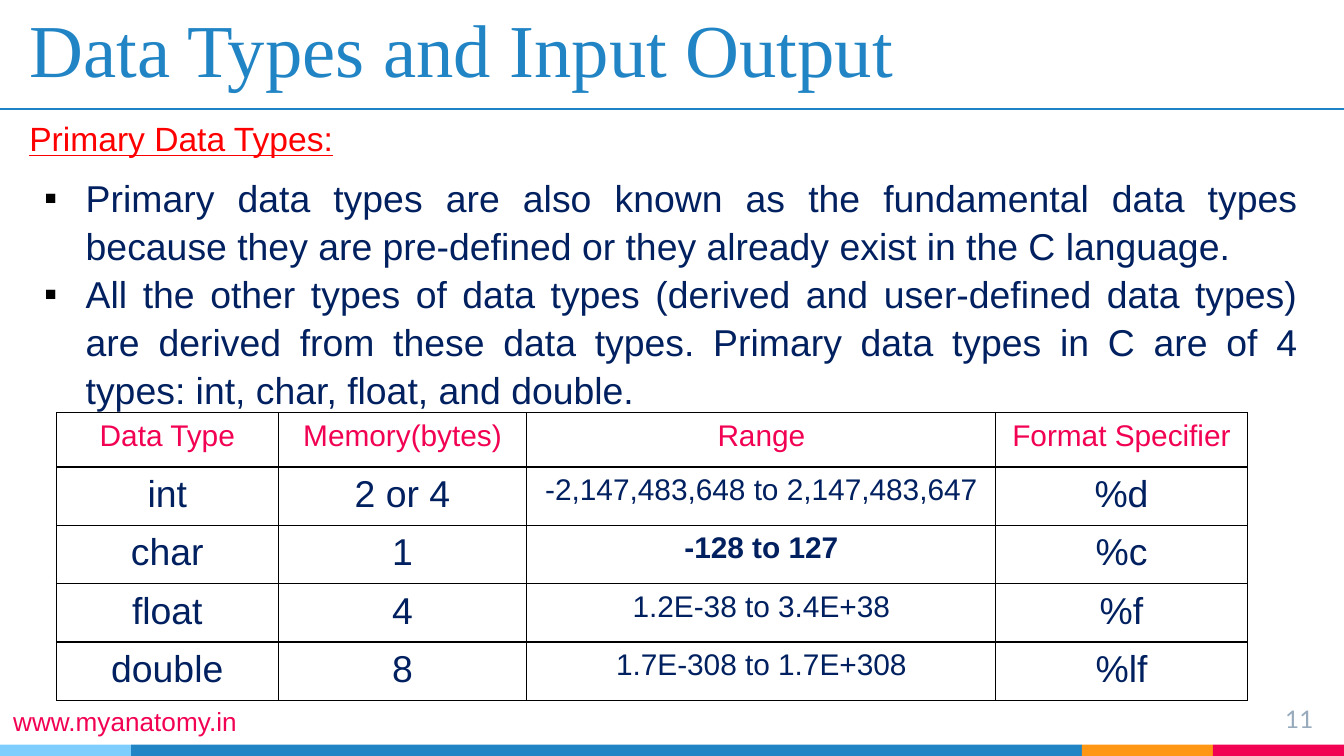
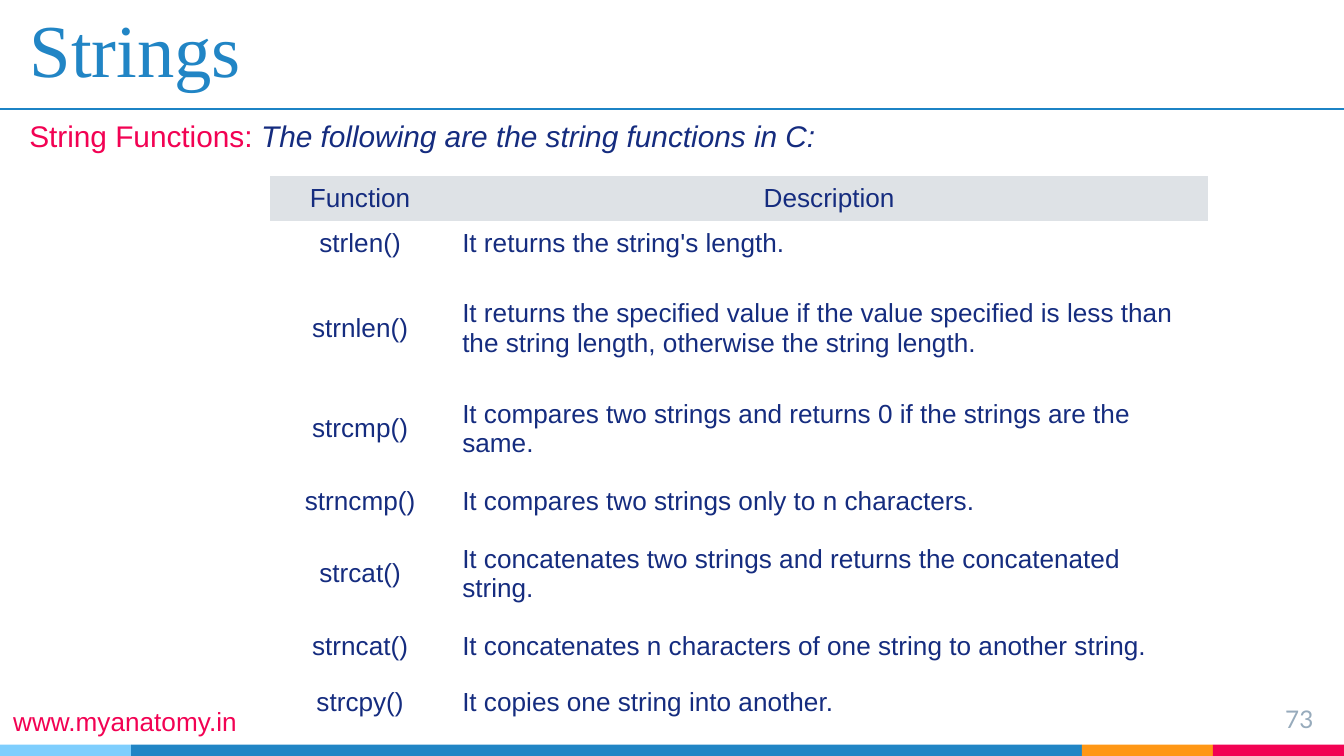
import itertools

import pptx
import pptx.dml.color
import pptx.enum.shapes
import pptx.enum.text
import pptx.oxml
import pptx.oxml.ns
import pptx.util

COLUMNS, ROWS = 100, 56.25
BLUE, PINK, ORANGE, SKY = "2185C5", "F20253", "FF9715", "7ECEFD"
RULE_BLUE, NAVY, INDIGO = "1C83C5", "002060", "152C7F"
RED, BLACK, GRAY, HEADER_GRAY = "FF0000", "000000", "97ABBC", "DEE2E6"
BODY_FONT, TITLE_FONT, NUMBER_FONT = "Arial", "Times New Roman", "Lato"
BANDS = [(SKY, 9.75), (BLUE, 70.75), (ORANGE, 9.75), (PINK, 9.75)]
BAND_TOP = 55.4
PLAIN_TABLE = "{2D5ABB26-0587-4C30-8999-92F81FD0307C}"
ALIGN = pptx.enum.text.PP_ALIGN
ANCHOR = pptx.enum.text.MSO_ANCHOR
AUTO_SIZE = pptx.enum.text.MSO_AUTO_SIZE

PRIMARY_POINTS = [
    "Primary data types are also known as the fundamental data types because "
    "they are pre-defined or they already exist in the C language.",
    "All the other types of data types (derived and user-defined data types) are "
    "derived from these data types. Primary data types in C are of 4 types: "
    "int, char, float, and double.",
]
PRIMARY_TYPES = [
    ("Data Type", "Memory(bytes)", "Range", "Format Specifier"),
    ("int", "2 or 4", "-2,147,483,648 to 2,147,483,647", "%d"),
    ("char", "1", "-128 to 127", "%c"),
    ("float", "4", "1.2E-38 to 3.4E+38", "%f"),
    ("double", "8", "1.7E-308 to 1.7E+308", "%lf"),
]
STRING_FUNCTIONS = [
    ("Function", "Description"),
    ("strlen()", "It returns the string's length."),
    ("strnlen()", "It returns the specified value if the value specified is less "
                  "than the string length, otherwise the string length."),
    ("strcmp()", "It compares two strings and returns 0 if the strings are the same."),
    ("strncmp()", "It compares two strings only to n characters."),
    ("strcat()", "It concatenates two strings and returns the concatenated string."),
    ("strncat()", "It concatenates n characters of one string to another string."),
    ("strcpy()", "It copies one string into another."),
]


def grid(*counts):
    """Turn counts of grid cells, a tenth of an inch each, into lengths."""
    return [pptx.util.Inches(count / 10) for count in counts]


def color(code):
    """Turn a hex string into a colour."""
    return pptx.dml.color.RGBColor.from_string(code)


def add_span(para, text, size, code, font=BODY_FONT, bold=False, italic=False,
             underline=False):
    """Add one formatted run to a paragraph."""
    span = para.add_run()
    span.text = text
    span.font.name = font
    span.font.size = pptx.util.Pt(size)
    span.font.color.rgb = color(code)
    span.font.bold = bold
    span.font.italic = italic
    span.font.underline = underline


def set_insets(frame, inset):
    """Give all four sides of a text frame the same inset."""
    (length,) = grid(inset)
    frame.margin_left = frame.margin_right = length
    frame.margin_top = frame.margin_bottom = length


def add_text_box(page, place, wrap=False):
    """Add an empty text box and return its text frame."""
    frame = page.shapes.add_textbox(*grid(*place)).text_frame
    frame.word_wrap = wrap
    frame.auto_size = AUTO_SIZE.NONE if wrap else AUTO_SIZE.SHAPE_TO_FIT_TEXT
    return frame


def add_label(page, place, spans):
    """Add a single-line label made of formatted runs."""
    para = add_text_box(page, place).paragraphs[0]
    for text, size, code, style in spans:
        add_span(para, text, size, code, **style)


def add_bands(page):
    """Draw the row of coloured bands along the bottom edge."""
    starts = itertools.accumulate((width for _, width in BANDS), initial=0)
    for (code, width), left in zip(BANDS, starts):
        band = page.shapes.add_shape(
            pptx.enum.shapes.MSO_SHAPE.RECTANGLE,
            *grid(left, BAND_TOP, width, ROWS - BAND_TOP))
        band.shadow.inherit = False
        band.fill.solid()
        band.fill.fore_color.rgb = color(code)
        band.line.fill.background()


def add_title(page, text):
    """Place and format the title placeholder."""
    title = page.shapes.title
    title.left, title.top, title.width, title.height = grid(1.2, 1, 96.8, 6.9)
    frame = title.text_frame
    frame.auto_size = AUTO_SIZE.NONE
    frame.word_wrap = True
    frame.vertical_anchor = ANCHOR.BOTTOM
    set_insets(frame, 1)
    para = frame.paragraphs[0]
    para.alignment = ALIGN.LEFT
    add_span(para, text, 40, BLUE, TITLE_FONT)


def add_title_rule(page):
    """Draw the thin rule under the title."""
    rule = page.shapes.add_connector(
        pptx.enum.shapes.MSO_CONNECTOR.STRAIGHT, *grid(0, 8.1, COLUMNS, 8.1))
    rule.line.color.rgb = color(RULE_BLUE)
    rule.line.width = pptx.util.Pt(0.75)
    properties = rule.element.find(pptx.oxml.ns.qn("p:spPr"))
    properties.append(pptx.oxml.parse_xml(
        f"<a:effectLst {pptx.oxml.ns.nsdecls('a')}/>"))


def add_page_number(page, number):
    """Write the page number at the bottom right."""
    frame = add_text_box(page, (92.7, 51.4, 6, 3.4), wrap=True)
    set_insets(frame, 1)
    para = frame.paragraphs[0]
    para.alignment = ALIGN.RIGHT
    add_span(para, str(number), 13, GRAY, NUMBER_FONT)


def add_page(deck, title, number):
    """Add a page with the title, rule, bands and footer that all share."""
    page = deck.slides.add_slide(deck.slide_layouts[5])
    add_bands(page)
    add_title(page, title)
    add_page_number(page, number)
    add_title_rule(page)
    add_label(page, (0, 52, 19, 3.4), [("www.myanatomy.in", 14, PINK, {})])
    return page


def add_bullets(page, place, points):
    """Add justified paragraphs with square bullets."""
    frame = add_text_box(page, place, wrap=True)
    (indent,) = grid(3.1)
    for index, text in enumerate(points):
        para = frame.add_paragraph() if index else frame.paragraphs[0]
        para.alignment = ALIGN.JUSTIFY
        para.line_spacing = 1.07
        properties = para._p.get_or_add_pPr()
        properties.set("marL", str(indent))
        properties.set("indent", str(-indent))
        names = pptx.oxml.ns.nsdecls("a")
        for bullet in (f'<a:buClr {names}><a:srgbClr val="{BLACK}"/></a:buClr>',
                       f'<a:buFont {names} typeface="{BODY_FONT}"/>',
                       f'<a:buChar {names} char="▪"/>'):
            properties.append(pptx.oxml.parse_xml(bullet))
        add_span(para, text, 20, NAVY)


def add_borders(cell):
    """Draw thin black lines on all sides of a cell."""
    properties = cell._tc.get_or_add_tcPr()
    for side in ("lnL", "lnR", "lnT", "lnB"):
        properties.append(pptx.oxml.parse_xml(
            f'<a:{side} {pptx.oxml.ns.nsdecls("a")} w="{pptx.util.Pt(0.75)}">'
            f'<a:solidFill><a:srgbClr val="{BLACK}"/></a:solidFill></a:{side}>'))


def add_table(page, corner, widths, heights, rows, format_cell):
    """Add an unstyled table and pass every cell to format_cell."""
    holder = page.shapes.add_table(
        len(rows), len(widths), *grid(*corner, sum(widths), sum(heights)))
    table = holder.table
    table.first_row = table.horz_banding = False
    for style in holder.element.iter(pptx.oxml.ns.qn("a:tableStyleId")):
        style.text = PLAIN_TABLE
    for column, width in zip(table.columns, grid(*widths)):
        column.width = width
    for row, height in zip(table.rows, grid(*heights)):
        row.height = height
    for row_index, texts in enumerate(rows):
        for column_index, text in enumerate(texts):
            cell = table.cell(row_index, column_index)
            format_cell(cell, text, row_index, column_index)


def format_type_cell(cell, text, row, column):
    """Format a bordered cell of the data type table."""
    add_borders(cell)
    cell.fill.background()
    para = cell.text_frame.paragraphs[0]
    para.alignment = ALIGN.CENTER
    is_header = row == 0
    is_range = column == 2
    add_span(para, text, 16 if is_header or is_range else 20,
             PINK if is_header else NAVY, bold=text == "-128 to 127")


def format_function_cell(cell, text, row, column):
    """Format a borderless cell of the string function table."""
    if row == 0:
        cell.fill.solid()
        cell.fill.fore_color.rgb = color(HEADER_GRAY)
    else:
        cell.fill.background()
    cell.vertical_anchor = ANCHOR.MIDDLE
    cell.margin_left, cell.margin_right = grid(0.9, 0.9)
    para = cell.text_frame.paragraphs[0]
    para.alignment = ALIGN.CENTER if row == 0 or column == 0 else ALIGN.LEFT
    add_span(para, text, 14, INDIGO)


def add_data_types_page(deck):
    """Build the page on primary data types."""
    page = add_page(deck, "Data Types and Input Output", 11)
    add_label(page, (1.2, 8.3, 25, 4),
              [("Primary Data Types:", 18, RED, {"underline": True})])
    add_table(page, (4.2, 30.7), (16.5, 18.5, 34.9, 18.7), [4.05] + [4.33] * 4,
              PRIMARY_TYPES, format_type_cell)
    add_bullets(page, (2.3, 12.3, 95.3, 17.8), PRIMARY_POINTS)


def add_strings_page(deck):
    """Build the page on string functions."""
    page = add_page(deck, "Strings", 73)
    add_label(page, (1.2, 8.3, 61.3, 3.7), [
        ("String Functions: ", 16, PINK, {}),
        ("The following are the string functions in C:", 16, INDIGO, {"italic": True}),
    ])
    add_table(page, (20.1, 13.1), (13.4, 56.4),
              (3.2, 3.2, 9.3, 5.6, 5.1, 5.6, 5.1, 3.2),
              STRING_FUNCTIONS, format_function_cell)


def main():
    """Build the deck and save it."""
    deck = pptx.Presentation()
    deck.slide_width, deck.slide_height = grid(COLUMNS, ROWS)
    add_data_types_page(deck)
    add_strings_page(deck)
    deck.save("out.pptx")


if __name__ == "__main__":
    main()
